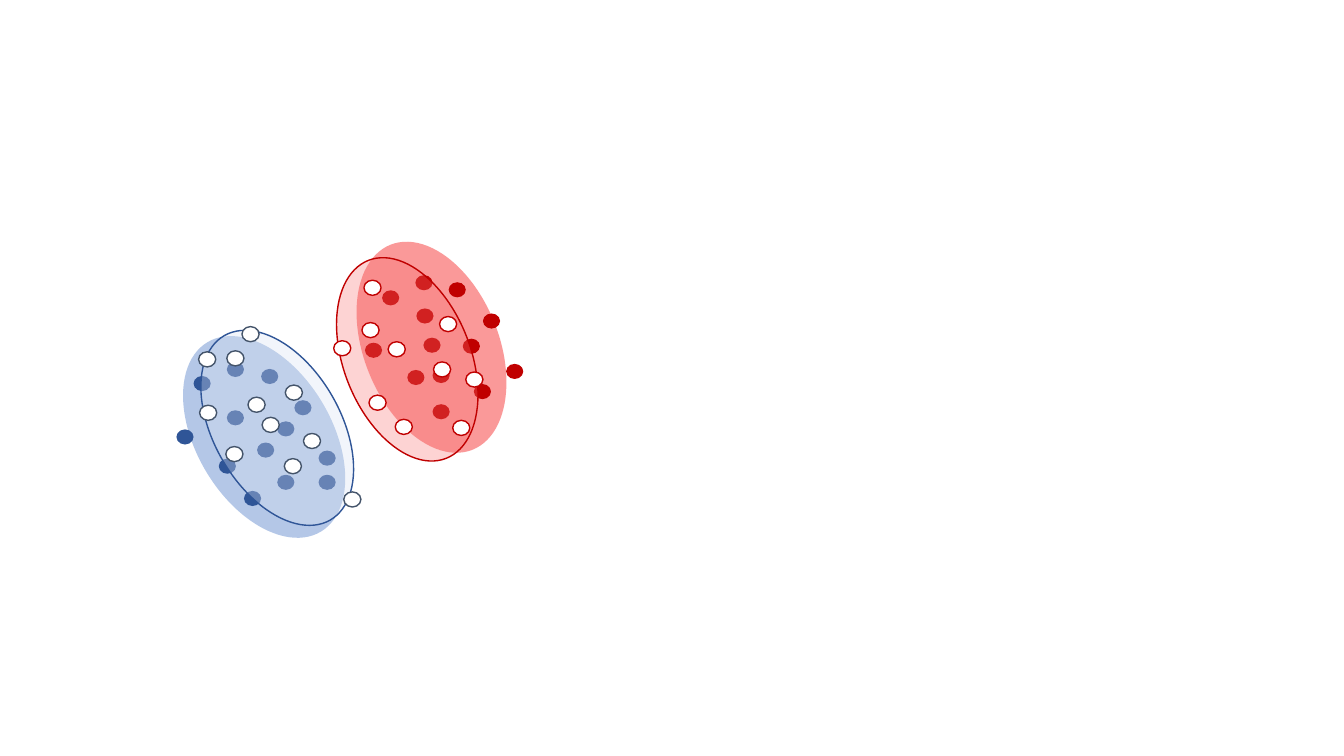
"""Build a slide of two point clusters, each with a filled and an outlined ellipse."""
from lxml import etree
from pptx import Presentation
from pptx.dml.color import RGBColor
from pptx.enum.shapes import MSO_SHAPE
from pptx.oxml.ns import qn
from pptx.util import Pt

PX = 9144
DOT_W, DOT_H = 17, 15
COLORS = {
    "red": "C00000",
    "pink": "F96F6F",
    "blue": "2F5597",
    "light_blue": "B4C7E7",
    "pale_blue": "DAE3F3",
    "slate": "44546A",
    "white": "FFFFFF",
}

prs = Presentation()
prs.slide_width = 1333 * PX
prs.slide_height = 750 * PX
s = prs.slides.add_slide(prs.slide_layouts[6])
clusters = s.shapes.add_group_shape()


def add_ellipse(x, y, w, h, fill, line=None, alpha=100, rotation=0):
    sp = clusters.shapes.add_shape(MSO_SHAPE.OVAL, x * PX, y * PX, w * PX, h * PX)
    sp.shadow.inherit = False
    sp.rotation = rotation
    sp.fill.solid()
    sp.fill.fore_color.rgb = RGBColor.from_string(COLORS[fill])
    if alpha < 100:
        color = sp.fill._xPr.find(qn("a:solidFill"))[0]
        etree.SubElement(color, qn("a:alpha"), val=str(alpha * 1000))
    if line:
        sp.line.color.rgb = RGBColor.from_string(COLORS[line])
        sp.line.width = Pt(1)
    else:
        sp.line.fill.background()


def add_dots(points, fill, line=None):
    for x, y in points:
        add_ellipse(x, y, DOT_W, DOT_H, fill, line)


blue_dots = [
    (192, 373), (175, 426), (225, 407), (217, 455), (259, 366), (275, 418), (275, 471),
    (292, 397), (242, 487), (316, 471), (255, 439), (316, 447), (225, 359),
]
red_dots = [
    (379, 288), (413, 306), (420, 335), (362, 340), (445, 280), (429, 365), (459, 336),
    (479, 311), (429, 401), (470, 381), (404, 367), (502, 361), (412, 273),
]
slate_rings = [
    (240, 324), (341, 488), (301, 430), (260, 414), (225, 348), (246, 394),
    (198, 402), (283, 382), (282, 455), (197, 349), (224, 443),
]
red_rings = [
    (331, 338), (366, 392), (359, 320), (361, 278), (392, 416),
    (385, 339), (436, 314), (449, 417), (430, 359), (462, 369),
]

add_ellipse(361, 235, 134, 219, "pink", alpha=70, rotation=338.2)
add_ellipse(195, 324, 134, 219, "light_blue", rotation=329.1)
add_dots(blue_dots, "blue")
add_dots(red_dots, "red")

add_ellipse(341, 251, 126, 211, "pink", "red", 30, 338.6)
add_ellipse(212, 319, 126, 211, "pale_blue", "blue", 33, 330.2)
add_dots(slate_rings, "white", "slate")
add_dots(red_rings, "white", "red")

prs.save("out.pptx")
